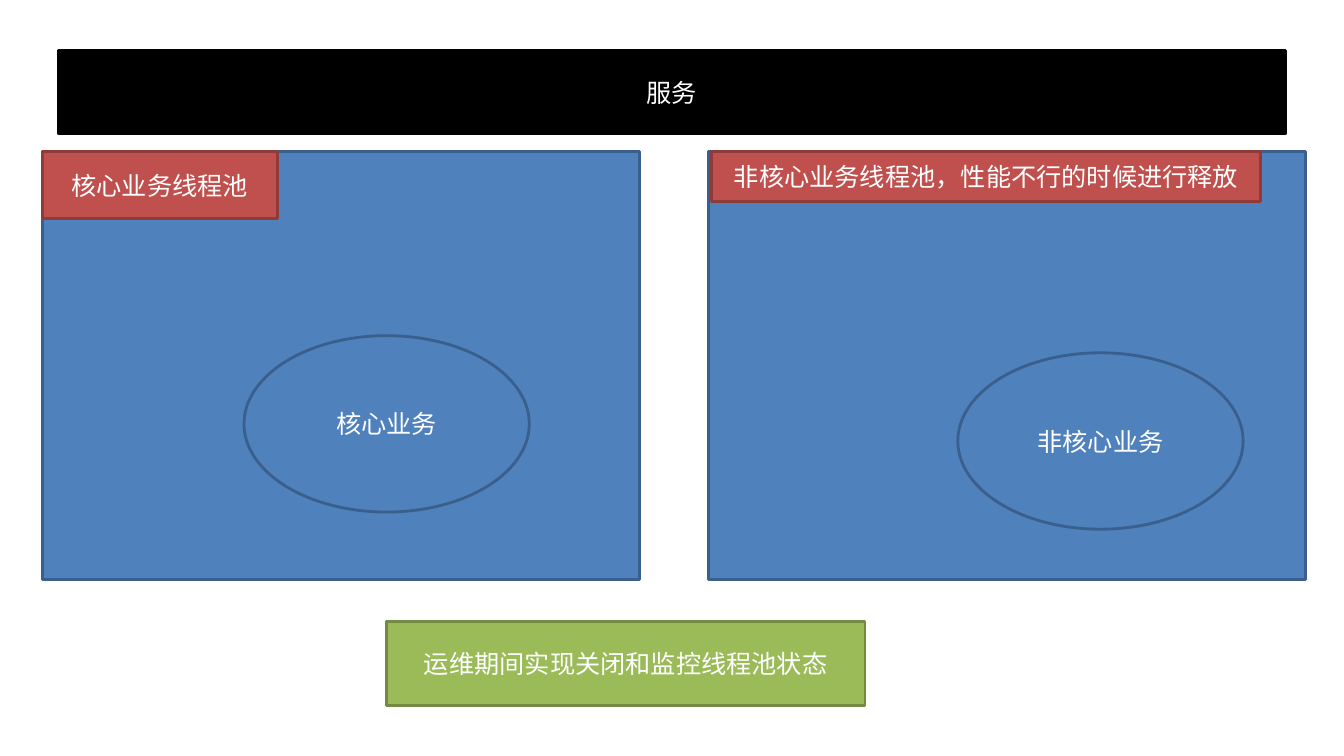
from pptx import Presentation
from pptx import util as u
from pptx.dml.color import RGBColor
from pptx.enum import shapes, text

RECT = shapes.MSO_SHAPE.RECTANGLE
OVAL = shapes.MSO_SHAPE.OVAL
# Each style is a fill and a line colour.
BLUE = ("4F81BD", "3A5F8C")
RED = ("C0504D", "8E3B39")
GREEN = ("9BBB59", "738A42")
BLACK = ("000000", "000000")


def paint(target, color):
    target.rgb = RGBColor.from_string(color)


def write(shape, words, size=18, font="Calibri", color="FFFFFF"):
    frame = shape.text_frame
    frame.word_wrap = True
    frame.vertical_anchor = text.MSO_ANCHOR.MIDDLE
    para = frame.paragraphs[0]
    para.alignment = text.PP_ALIGN.CENTER
    run = para.add_run()
    run.text = words
    run.font.size = u.Pt(size)
    run.font.name = font
    paint(run.font.color, color)


def block(slide, kind, box, style, words=None):
    """Draw a filled shape; box is left, top, width, height in inches."""
    shape = slide.shapes.add_shape(kind, *map(u.Inches, box))
    shape.shadow.inherit = False
    fill, line = style
    shape.fill.solid()
    paint(shape.fill.fore_color, fill)
    paint(shape.line.color, line)
    shape.line.width = u.Pt(2)
    if words:
        write(shape, words)


def main():
    deck = Presentation()
    deck.slide_width = u.Inches(13.33)
    deck.slide_height = u.Inches(7.5)
    slide = deck.slides.add_slide(deck.slide_layouts[6])

    for left in (0.42, 7.03):
        block(slide, RECT, (left, 1.5, 5.92, 4.25), BLUE)
    block(slide, RECT, (0.58, 0.5, 12.17, 0.83), BLACK, "服务")

    block(slide, RECT, (0.42, 1.5, 2.33, 0.67), RED, "核心业务线程池")
    block(slide, RECT, (7.06, 1.5, 5.44, 0.5), RED,
          "非核心业务线程池，性能不行的时候进行释放")

    for left, top, words in ((2.42, 3.33, "核心业务"),
                             (9.5, 3.5, "非核心业务")):
        block(slide, OVAL, (left, top, 2.83, 1.75), BLUE, words)

    block(slide, RECT, (3.83, 6.17, 4.75, 0.83), GREEN,
          "运维期间实现关闭和监控线程池状态")
    deck.save("out.pptx")


if __name__ == "__main__":
    main()
